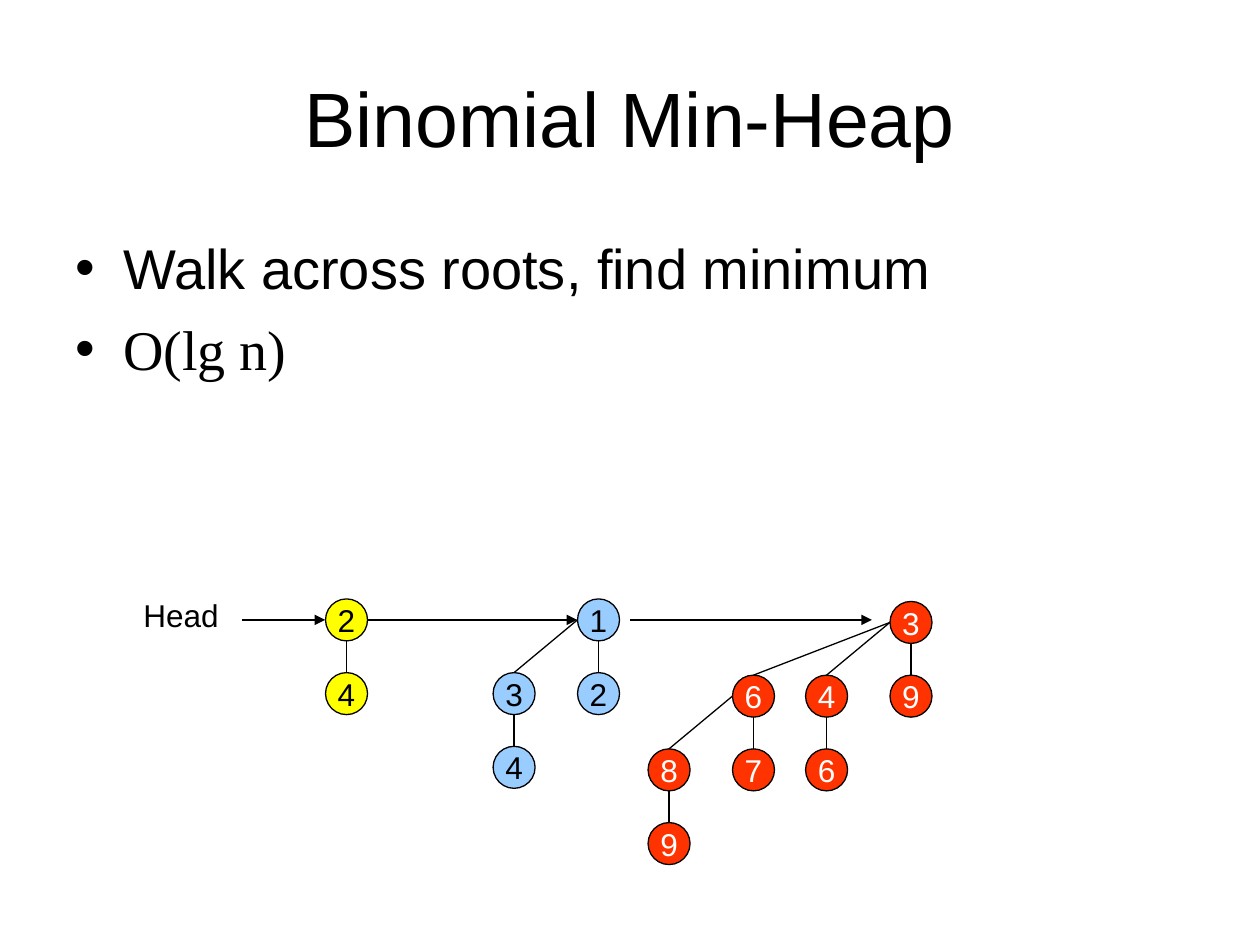
from lxml import etree
from pptx import Presentation
from pptx.dml.color import RGBColor
from pptx.enum.shapes import MSO_CONNECTOR, MSO_SHAPE
from pptx.enum.text import MSO_ANCHOR, PP_ALIGN
from pptx.oxml.ns import qn
from pptx.util import Inches, Pt

LINE = MSO_CONNECTOR.STRAIGHT
OVAL = MSO_SHAPE.OVAL
MIDDLE = MSO_ANCHOR.MIDDLE
LEFT, CENTER = PP_ALIGN.LEFT, PP_ALIGN.CENTER

BLACK = RGBColor(0x00, 0x00, 0x00)
WHITE = RGBColor(0xFF, 0xFF, 0xFF)
YELLOW = RGBColor(0xFF, 0xFF, 0x00)
BLUE = RGBColor(0x99, 0xCC, 0xFF)
RED = RGBColor(0xFF, 0x33, 0x00)

RADIUS = 1 / 6
STEP = 0.585  # height of one tree level
ROOT_Y = 4.92

# Each node is (key, centre x, children)
TREES = [
    (YELLOW, BLACK, ROOT_Y, (2, 2.75, [(4, 2.75, [])])),
    (BLUE, BLACK, ROOT_Y, (1, 4.75, [
        (3, 4.08, [(4, 4.08, [])]),
        (2, 4.75, []),
    ])),
    (RED, WHITE, 4.94, (3, 7.23, [
        (6, 5.98, [(8, 5.31, [(9, 5.31, [])]), (7, 5.98, [])]),
        (4, 6.56, [(6, 6.56, [])]),
        (9, 7.23, []),
    ])),
]
ARROWS = [(1.92, 2.58), (2.92, 4.58), (5, 6.92)]
BULLETS = [("Walk across roots, find minimum", "Arial"),
           ("O(lg n)", "Times New Roman")]


def style(para, size, color=BLACK, face="Arial", align=LEFT):
    para.alignment = align
    for run in para.runs:
        run.font.size = Pt(size)
        run.font.name = face
        run.font.color.rgb = color


def add_text(slide, text, box, size, align=LEFT, wrap=True):
    frame = slide.shapes.add_textbox(*map(Inches, box)).text_frame
    frame.word_wrap = wrap
    frame.text = text
    style(frame.paragraphs[0], size, align=align)
    return frame


def add_list(slide, items, box):
    frame = slide.shapes.add_textbox(*map(Inches, box)).text_frame
    frame.word_wrap = True
    frame.margin_top = Inches(0.1)
    frame.text = "\n".join(text for text, face in items)
    for i, (para, (text, face)) in enumerate(zip(frame.paragraphs, items)):
        if i:
            para.space_before = Pt(8)
        props = para._p.get_or_add_pPr()
        props.set("marL", str(Inches(0.38)))
        props.set("indent", str(-Inches(0.38)))
        etree.SubElement(props, qn("a:buFont"), typeface="Arial")
        etree.SubElement(props, qn("a:buChar"), char="•")
        style(para, 32, face=face)


def add_line(slide, x1, y1, x2, y2, arrow=False):
    line = slide.shapes.add_connector(LINE, *map(Inches, (x1, y1, x2, y2)))
    line.line.color.rgb = BLACK
    line.line.width = Pt(0.75)
    if arrow:
        etree.SubElement(line.line._get_or_add_ln(), qn("a:tailEnd"),
                         type="triangle")
    etree.SubElement(line._element.spPr, qn("a:effectLst"))


def add_node(slide, key, x, y, fill, ink):
    box = (x - RADIUS, y - RADIUS, 2 * RADIUS, 2 * RADIUS)
    node = slide.shapes.add_shape(OVAL, *map(Inches, box))
    node.shadow.inherit = False
    node.fill.solid()
    node.fill.fore_color.rgb = fill
    node.line.color.rgb = BLACK
    node.line.width = Pt(0.75)
    frame = node.text_frame
    frame.word_wrap = False
    frame.vertical_anchor = MIDDLE
    frame.text = str(key)
    style(frame.paragraphs[0], 18, ink, align=CENTER)


def add_tree(slide, node, y, fill, ink):
    key, x, kids = node
    add_node(slide, key, x, y, fill, ink)
    for kid in kids:
        end = (kid[1], y + STEP - RADIUS)
        # A child straight below hangs from the bottom, others from the left
        start = (x, y + RADIUS) if kid[1] == x else (x - RADIUS, y)
        add_line(slide, *start, *end)
        add_tree(slide, kid, y + STEP, fill, ink)


def main():
    deck = Presentation()
    deck.slide_width, deck.slide_height = Inches(10), Inches(7.5)
    slide = deck.slides.add_slide(deck.slide_layouts[6])

    # Title and bullets
    title = add_text(slide, "Binomial Min-Heap", (0.5, 0.3, 9, 1.25), 44,
                     CENTER)
    title.vertical_anchor = MIDDLE
    add_list(slide, BULLETS, (0.5, 1.75, 9, 4.95))

    # Heap trees
    for fill, ink, y, root in TREES:
        add_tree(slide, root, y, fill, ink)

    # Root list
    for x1, x2 in ARROWS:
        add_line(slide, x1, ROOT_Y, x2, ROOT_Y, arrow=True)
    add_text(slide, "Head", (1.04, 4.68, 0.8, 0.4), 18, wrap=False)

    deck.save("out.pptx")


if __name__ == "__main__":
    main()
